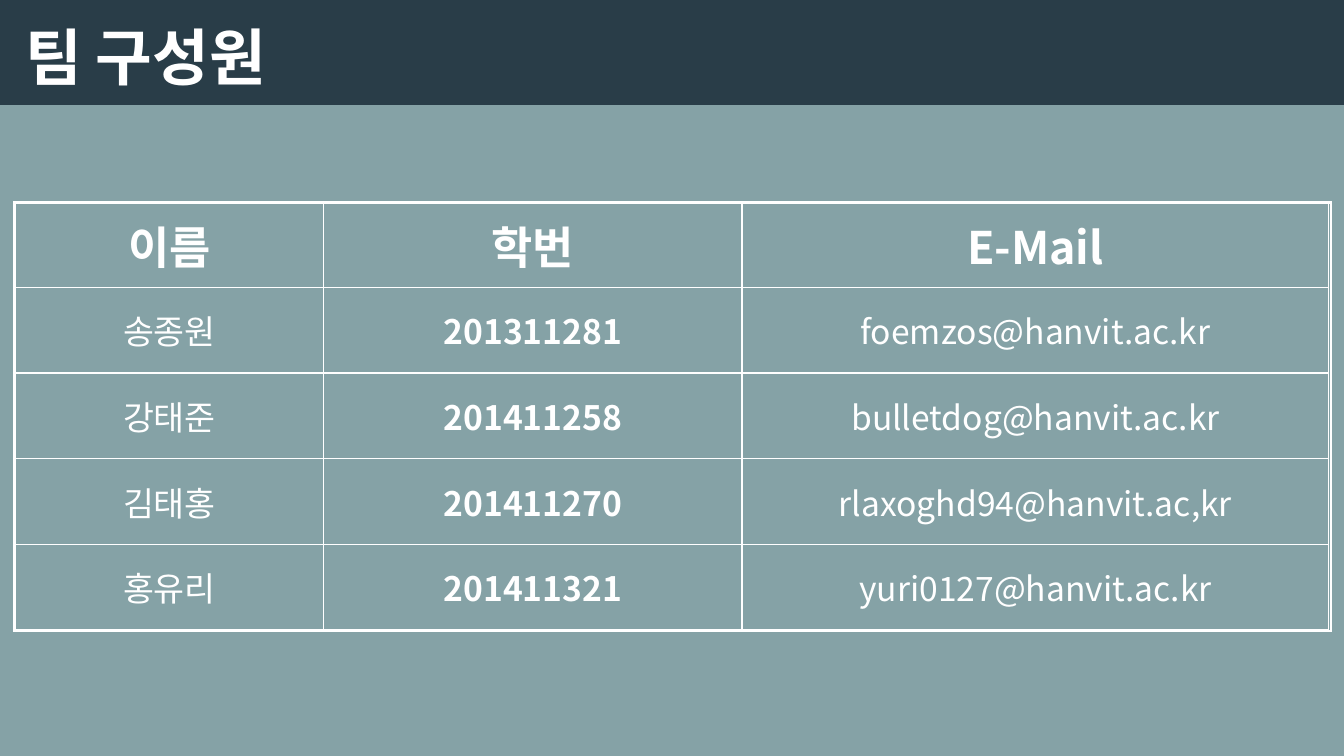
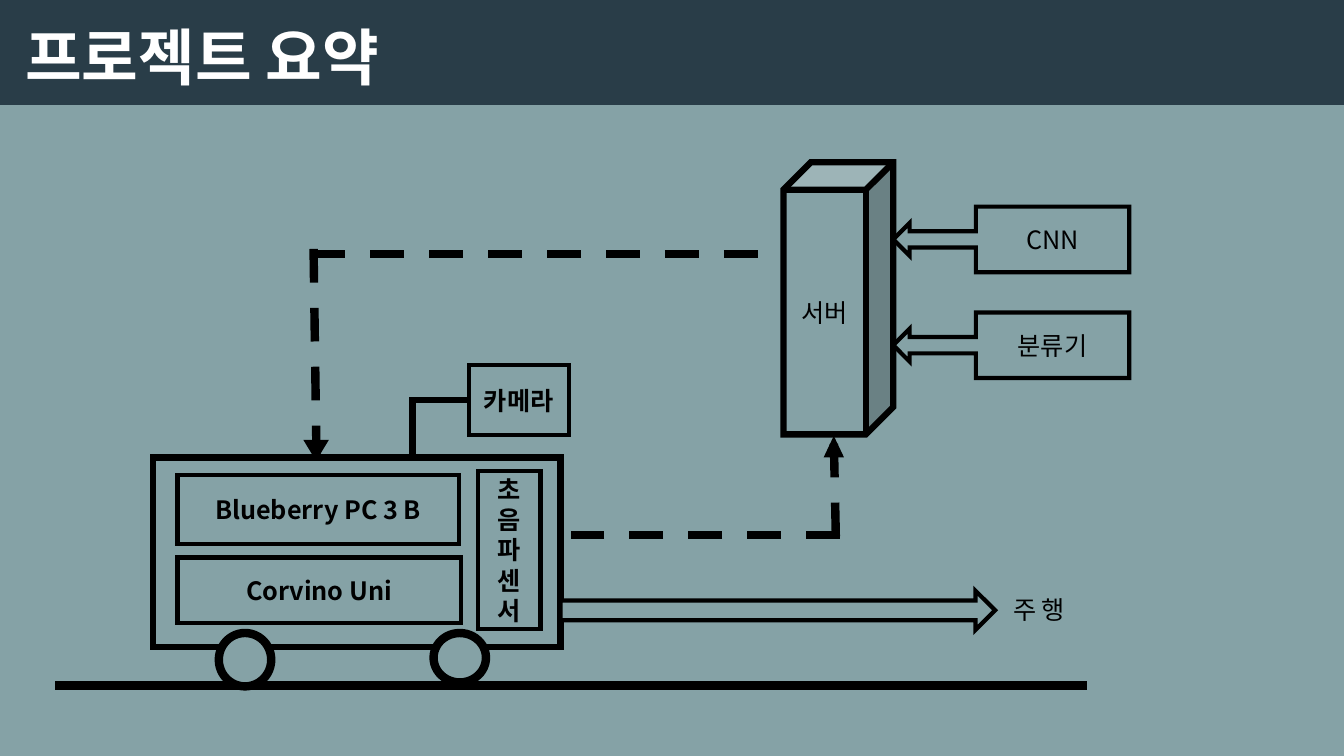
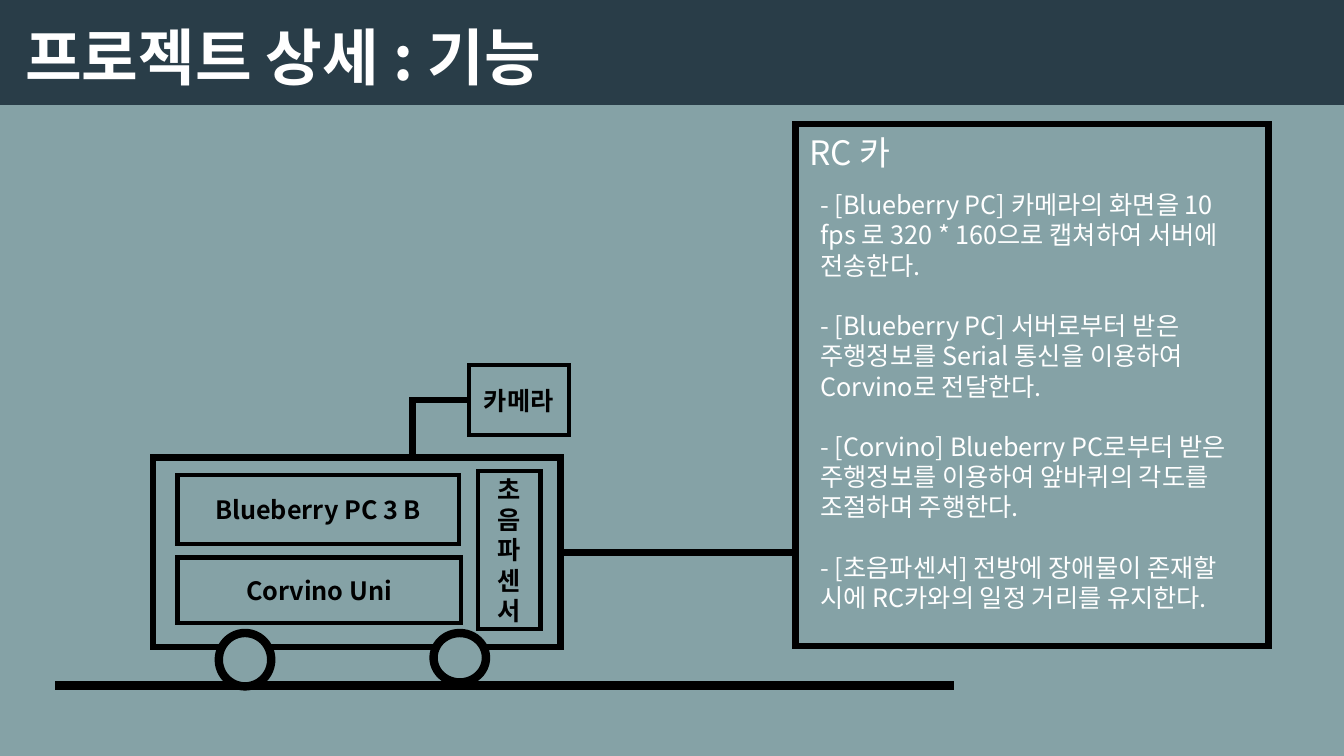
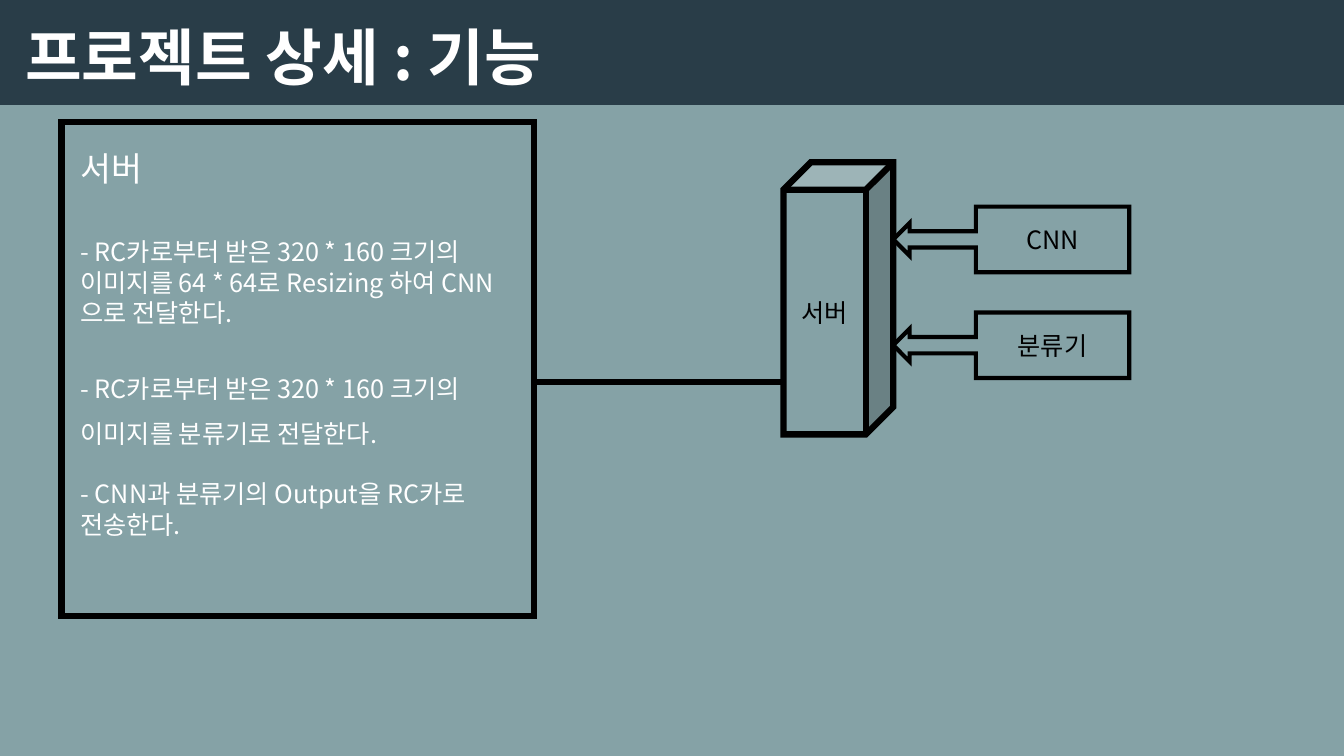
from dataclasses import dataclass
from typing import Any, Optional

from lxml import etree
from pptx import Presentation, util as u
from pptx.dml.color import RGBColor
from pptx.enum import dml, shapes as sh, text as tx
from pptx.oxml.ns import qn

FONT = "Noto Sans CJK KR"
SAGE = RGBColor(0x85, 0xA2, 0xA6)
NAVY = RGBColor(0x29, 0x3D, 0x48)
WHITE = RGBColor(0xFF, 0xFF, 0xFF)
BLACK = RGBColor(0, 0, 0)

KIND = sh.MSO_SHAPE
LEFT, RIGHT = 1, 3
Rect = tuple[float, float, float, float]
Point = tuple[float, float]


@dataclass(frozen=True)
class Box:
    at: Rect
    text: str = ""
    kind: Any = KIND.RECTANGLE
    fill: Optional[RGBColor] = None
    edge: Optional[float] = 3
    bold: bool = False
    turn: float = 0


@dataclass(frozen=True)
class Line:
    start: Point
    end: Point
    width: float = 4.5
    dash: bool = False


@dataclass(frozen=True)
class Para:
    text: str
    space: float = 1


ROAD = 6.8
BODY = Box((1.52, 4.54, 4.04, 1.88), edge=4.5)
CAMERA = Box((4.65, 3.62, 0.99, 0.7), "카메라", bold=True)
MAST = Line((4.09, 3.94), (4.09, 4.54))
ARM = Line((4.65, 3.97), (4.08, 3.97))
PARTS = [
    Box((1.76, 4.71, 2.79, 0.69), "Blueberry PC 3 B", bold=True),
    Box((1.76, 5.53, 2.81, 0.65), "Corvino Uni", bold=True),
    Box((4.74, 4.67, 0.62, 1.57), "초음파센서", bold=True),
    Box((2.17, 6.28, 0.52, 0.53), kind=KIND.OVAL, fill=SAGE, edge=6),
    Box((4.3, 6.28, 0.52, 0.49), kind=KIND.OVAL, fill=SAGE, edge=6),
]
SERVER = [
    Box((7.77, 1.61, 1.09, 2.7), "서버", KIND.CUBE, SAGE, 4.5),
    *(Box((8.86, top, 2.34, 0.65), name, KIND.LEFT_ARROW_CALLOUT, SAGE)
      for name, top in (("CNN", 2.05), ("분류기", 3.1))),
]
# Dashed routes between car and server: lines, then the arrow tip
ROUTES = [
    ([Line((3.11, 2.47), (3.14, 4.58), 6, True),
      Line((3.09, 2.52), (7.74, 2.52), 6, True)],
     Box((3.02, 4.37, 0.23, 0.19), "", KIND.ISOSCELES_TRIANGLE, BLACK, 1, turn=180)),
    ([Line((8.29, 5.32), (8.27, 4.35), 6, True),
      Line((8.33, 5.31), (5.51, 5.31), 6, True)],
     Box((8.18, 4.34, 0.18, 0.19), "", KIND.ISOSCELES_TRIANGLE, BLACK, 1)),
]

TEAM = [
    ("이름", "학번", "E-Mail"),
    ("송종원", "201311281", "foemzos@hanvit.ac.kr"),
    ("강태준", "201411258", "bulletdog@hanvit.ac.kr"),
    ("김태홍", "201411270", "rlaxoghd94@hanvit.ac,kr"),
    ("홍유리", "201411321", "yuri0127@hanvit.ac.kr"),
]
COLS = (3.06, 4.15, 5.82)
ROW = 0.85

CAR_TASKS = [
    Para("- [Blueberry PC] 카메라의 화면을 10 fps 로 320 * 160으로 캡쳐하여 서버에 전송한다."),
    Para("- [Blueberry PC] 서버로부터 받은 주행정보를 Serial 통신을 이용하여 Corvino로 전달한다."),
    Para("- [Corvino] Blueberry PC로부터 받은 주행정보를 이용하여 앞바퀴의 각도를 조절하며 주행한다."),
    Para("- [초음파센서] 전방에 장애물이 존재할 시에 RC카와의 일정 거리를 유지한다."),
]
SERVER_TASKS = [
    Para("- RC카로부터 받은 320 * 160 크기의 이미지를 64 * 64로 Resizing 하여 CNN으로 전달한다."),
    Para("- RC카로부터 받은 320 * 160 크기의 이미지를 분류기로 전달한다.", 1.5),
    Para("- CNN과 분류기의 Output을 RC카로 전송한다."),
]


def inches(at: tuple) -> list:
    return [u.Inches(n) for n in at]


def write(para: Any, words: str, size: float, color: RGBColor, bold: bool = False) -> None:
    """Add one unkerned run in the deck's font, for Latin and Korean alike."""
    run = para.add_run()
    run.text = words
    font = run.font
    font.size, font.bold, font.name = u.Pt(size), bold, FONT
    font.color.rgb = color
    props = run._r.get_or_add_rPr()
    props.set("kern", "0")
    etree.SubElement(props, qn("a:ea"), typeface=FONT)


def draw(kit: Any, box: Box) -> Any:
    shape = kit.add_shape(box.kind, *inches(box.at))
    shape.shadow.inherit = False
    shape.rotation = box.turn
    if box.fill is None:
        shape.fill.background()
    else:
        shape.fill.solid()
        shape.fill.fore_color.rgb = box.fill
    if box.edge is None:
        shape.line.fill.background()
    else:
        shape.line.color.rgb = BLACK
        shape.line.width = u.Pt(box.edge)
        etree.SubElement(shape.element.spPr.find(qn("a:ln")), qn("a:miter"), lim="800000")
    if box.text:
        para = shape.text_frame.paragraphs[0]
        para.alignment = tx.PP_ALIGN.CENTER
        write(para, box.text, 18, BLACK, box.bold)
    return shape


def link(kit: Any, line: Line) -> Any:
    wire = kit.add_connector(sh.MSO_CONNECTOR.STRAIGHT, *inches(line.start + line.end))
    wire.line.color.rgb = BLACK
    wire.line.width = u.Pt(line.width)
    if line.dash:
        wire.line.dash_style = dml.MSO_LINE.DASH
    etree.SubElement(wire.element.spPr, qn("a:effectLst"))
    return wire


def note(kit: Any, at: Rect, paras: list[Para], size: float = 18,
         color: RGBColor = WHITE) -> None:
    """Add a text box whose paragraphs stand one line apart."""
    frame = kit.add_textbox(*inches(at)).text_frame
    frame.word_wrap = True
    for i, item in enumerate(paras):
        para = frame.add_paragraph() if i else frame.paragraphs[0]
        para.line_spacing = item.space
        if i:
            para.space_before = u.Pt(1.2 * size)
        write(para, item.text, size, color)


def page(deck: Any, name: str) -> Any:
    """Add a slide with the dark band and its title."""
    slide = deck.slides.add_slide(deck.slide_layouts[5])
    title = slide.shapes.title
    band = draw(slide.shapes, Box((0, 0, 13.33, 1.04), fill=NAVY, edge=None))
    title.element.addprevious(band.element)
    title.left, title.top, title.width, title.height = inches((0.15, 0.14, 8.58, 0.84))
    frame = title.text_frame
    frame.auto_size = tx.MSO_AUTO_SIZE.NONE
    frame.vertical_anchor = tx.MSO_ANCHOR.TOP
    para = frame.paragraphs[0]
    para.alignment = tx.PP_ALIGN.LEFT
    write(para, name, 44, WHITE, True)
    return slide


def border(cell: Any, side: str, width: float) -> None:
    edge = etree.SubElement(cell._tc.get_or_add_tcPr(), qn(f"a:ln{side}"),
                            w=str(u.Pt(width)))
    fill = etree.SubElement(edge, qn("a:solidFill"))
    etree.SubElement(fill, qn("a:srgbClr"), val=str(WHITE))


def grid(kit: Any, at: Point, cols: tuple, tall: float, rows: int, width: float) -> Any:
    """Add a clear table with white borders around every cell."""
    size = inches((*at, sum(cols), tall * rows))
    table = kit.add_table(rows, len(cols), *size).table
    table.first_row = table.horz_banding = False
    for col, wide in zip(table.columns, cols):
        col.width = u.Inches(wide)
    for row in table.rows:
        row.height = u.Inches(tall)
    for cell in table.iter_cells():
        for side in "LRTB":
            border(cell, side, width)
        cell.fill.background()
        cell.vertical_anchor = tx.MSO_ANCHOR.MIDDLE
    return table


def roster(kit: Any) -> None:
    """Add the team table and the thick one-cell frame around it."""
    table = grid(kit, (0.15, 2), COLS, ROW, len(TEAM), 1)
    for r, row in enumerate(TEAM):
        for c, words in enumerate(row):
            para = table.cell(r, c).text_frame.paragraphs[0]
            para.alignment = tx.PP_ALIGN.CENTER
            write(para, words, 24 if r else 32, WHITE, r == 0 or c == 1)
    grid(kit, (0.14, 2.01), (13.06,), 4.25, 1, 2.25)


def car(kit: Any, end: float) -> Any:
    """Draw the road up to end and the car on it; return the car's body."""
    link(kit, Line((0.55, ROAD), (end, ROAD), 6))
    group = kit.add_group_shape().shapes
    body = draw(group, BODY)
    for part in PARTS:
        draw(group, part)
    link(group, MAST)
    camera = draw(group, CAMERA)
    link(group, ARM).begin_connect(camera, LEFT)
    return body


def server(kit: Any) -> None:
    for box in SERVER:
        draw(kit, box)


def main() -> None:
    deck = Presentation()
    deck.slide_width, deck.slide_height = inches((13.33, 7.5))
    back = deck.slide_master.background.fill
    back.solid()
    back.fore_color.rgb = SAGE

    roster(page(deck, "팀 구성원").shapes)

    kit = page(deck, "프로젝트 요약").shapes
    car(kit, 10.78)
    server(kit)
    for lines, tip in ROUTES:
        group = kit.add_group_shape().shapes
        for line in lines:
            link(group, line)
        draw(group, tip)
    draw(kit, Box((5.56, 5.86, 4.31, 0.39), "", KIND.RIGHT_ARROW, SAGE))
    note(kit, (9.95, 5.85, 1.33, 0.4), [Para("주 행")], color=BLACK)

    kit = page(deck, "프로젝트 상세 : 기능").shapes
    body = car(kit, 9.46)
    draw(kit, Box((7.89, 1.23, 4.69, 5.18), fill=SAGE, edge=4.5))
    note(kit, (7.93, 1.26, 1.97, 0.5), [Para("RC 카")], 24)
    link(kit, Line((5.56, 5.48), (7.89, 5.48))).begin_connect(body, RIGHT)
    note(kit, (8.04, 1.83, 4.46, 4.64), CAR_TASKS)

    kit = page(deck, "프로젝트 상세 : 기능").shapes
    server(kit)
    draw(kit, Box((0.61, 1.21, 4.69, 4.9), fill=SAGE, edge=4.5))
    note(kit, (0.7, 1.42, 1.97, 0.5), [Para("서버")], 24)
    link(kit, Line((5.3, 3.79), (7.77, 3.79)))
    note(kit, (0.7, 2.3, 4.36, 3.13), SERVER_TASKS)

    deck.save("out.pptx")


if __name__ == "__main__":
    main()
